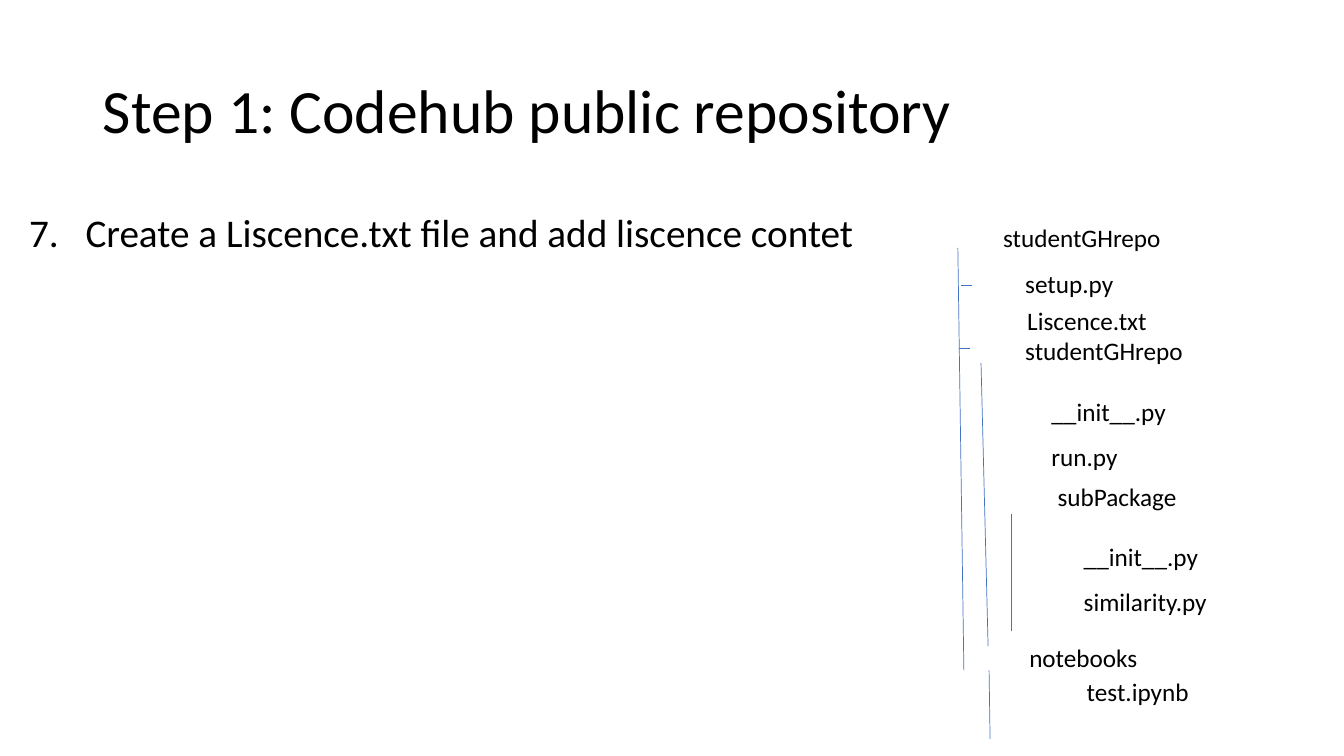
"""Build the slide on adding a licence file to a public repository."""
from lxml.etree import SubElement
from pptx import Presentation
from pptx.dml.color import RGBColor
from pptx.enum.shapes import MSO_CONNECTOR
from pptx.enum.text import MSO_ANCHOR, MSO_AUTO_SIZE, PP_ALIGN
from pptx.oxml.ns import qn
from pptx.util import Inches, Pt


def color(value):
    return RGBColor.from_string(value)


def write(paragraph, text, size):
    paragraph.alignment = PP_ALIGN.LEFT
    run = paragraph.add_run()
    run.text = text
    run.font.size = Pt(size)
    run.font.name = "Calibri"
    run.font.color.rgb = color("000000")


presentation = Presentation()
presentation.slide_width = Inches(13.33)
presentation.slide_height = Inches(7.5)
slide = presentation.slides.add_slide(presentation.slide_layouts[5])

title = slide.shapes.title
title.left, title.top = Inches(0.92), Inches(0.4)
title.width, title.height = Inches(11.5), Inches(1.45)
title.text_frame.vertical_anchor = MSO_ANCHOR.MIDDLE
title_paragraph = title.text_frame.paragraphs[0]
title_paragraph.line_spacing = 0.9
write(title_paragraph, "Step 1: Codehub public repository", 44)

body = slide.shapes.add_textbox(Inches(0.19), Inches(2.07), Inches(8.68), Inches(4.76))
body.text_frame.word_wrap = True
step = body.text_frame.paragraphs[0]
step.line_spacing = 0.9
properties = step._p.get_or_add_pPr()
properties.set("marL", str(Inches(0.56)))
properties.set("indent", str(-Inches(0.56)))
SubElement(properties, qn("a:buFont"), typeface="+mj-lt")
SubElement(properties, qn("a:buAutoNum"), type="arabicPeriod", startAt="7")
write(step, "Create a Liscence.txt file and add liscence contet", 28)

tree_entries = [
    ("studentGHrepo", 9.85, 2.16, 1.78),
    ("setup.py", 10.07, 2.61, 1.08),
    ("Liscence.txt", 10.09, 2.98, 1.4),
    ("studentGHrepo", 10.07, 3.28, 1.78),
    ("__init__.py", 10.33, 3.88, 1.35),
    ("run.py", 10.33, 4.33, 0.87),
    ("subPackage", 10.39, 4.73, 1.39),
    ("__init__.py", 10.65, 5.32, 1.35),
    ("similarity.py", 10.65, 5.77, 1.43),
    ("notebooks", 10.11, 6.32, 1.29),
    ("test.ipynb", 10.68, 6.66, 1.22),
]
for name, left, top, width in tree_entries:
    entry = slide.shapes.add_textbox(Inches(left), Inches(top), Inches(width), Inches(0.4))
    entry.text_frame.word_wrap = False
    entry.text_frame.auto_size = MSO_AUTO_SIZE.SHAPE_TO_FIT_TEXT
    write(entry.text_frame.paragraphs[0], name, 18)

tree_lines = [
    (9.5, 2.46, 9.56, 6.65),
    (9.53, 2.83, 9.64, 2.83),
    (9.51, 3.46, 9.62, 3.46),
    (9.73, 3.6, 9.8, 6.41),
    (10.03, 5.1, 10.03, 6.26),
    (9.81, 6.65, 9.82, 7.33),
]
for ends in tree_lines:
    branch = slide.shapes.add_connector(MSO_CONNECTOR.STRAIGHT, *map(Inches, ends))
    branch.line.color.rgb = color("4472C4")
    branch.line.width = Pt(0.5)
    SubElement(branch._element.spPr, qn("a:effectLst"))

presentation.save("out.pptx")
